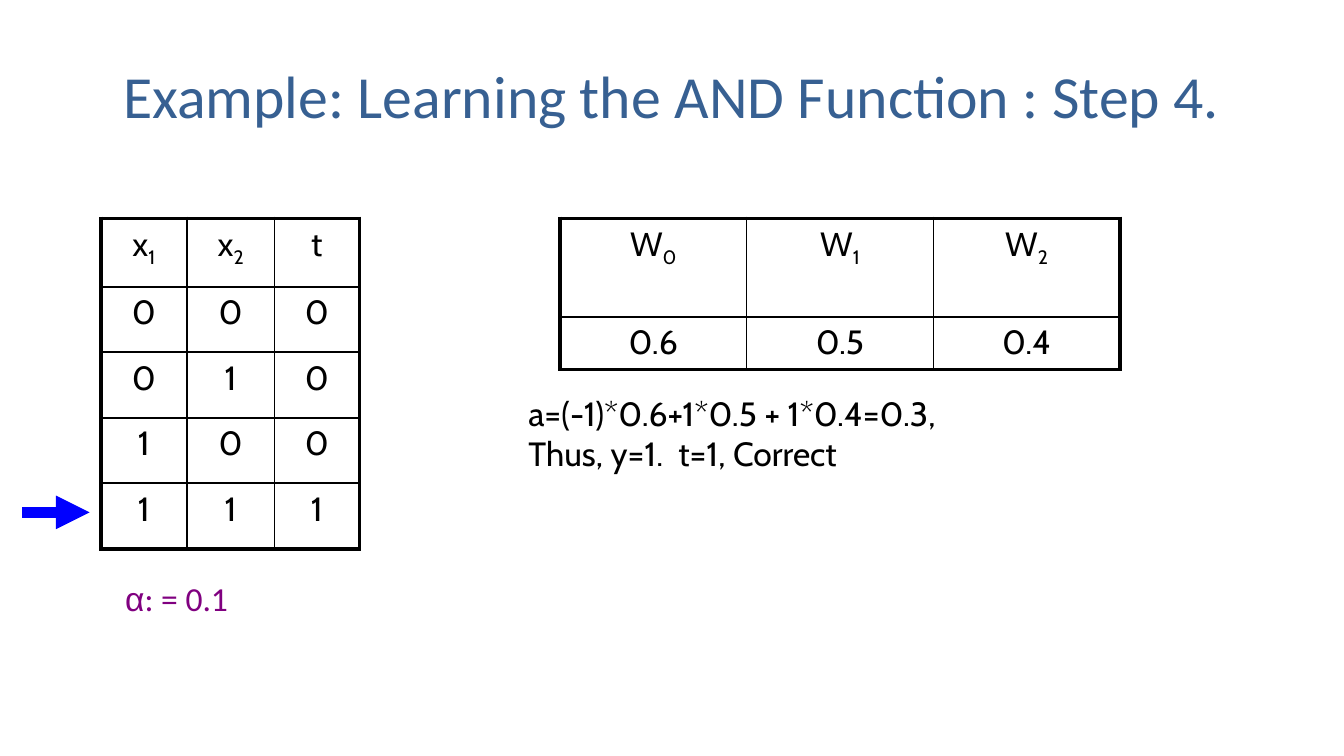
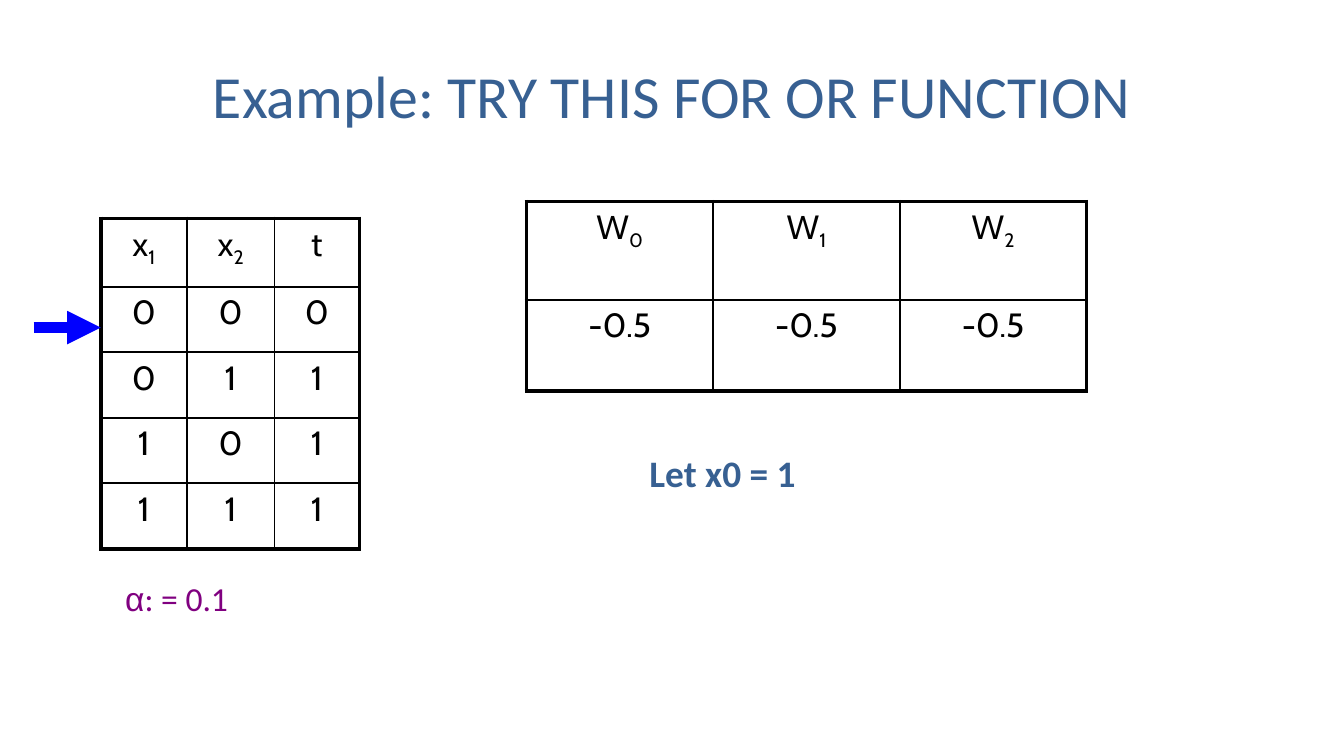
import pptx
import pptx.util
import pptx.dml.color
import pptx.enum.shapes
import pptx.enum.text
import pptx.oxml
import pptx.oxml.ns

BLACK = pptx.dml.color.RGBColor(0x00, 0x00, 0x00)
STEEL = pptx.dml.color.RGBColor(0x37, 0x60, 0x92)
PURPLE = pptx.dml.color.RGBColor(0x80, 0x00, 0x80)
BLUE = pptx.dml.color.RGBColor(0x00, 0x00, 0xFF)

UNIT = pptx.util.Inches(1) / 12
THIN, THICK = 1, 2.25
SUBSCRIPT = "-25000"
NS = pptx.oxml.ns.nsdecls("a")

TRUTH_COLS = [7.7, 7.8, 7.6]
TRUTH_ROWS = [6.1] + [5.85] * 4
WEIGHT_COLS = [16.67] * 3
INPUTS = [("0", "0"), ("0", "1"), ("1", "0"), ("1", "1")]


def grid(*cells):
    """Turn counts of grid units into slide lengths."""
    return [pptx.util.Emu(round(c * UNIT)) for c in cells]


def add_run(p, text, size, font, color, bold=False):
    """Append one formatted run to a paragraph."""
    r = p.add_run()
    r.text = text
    r.font.size = pptx.util.Pt(size)
    r.font.name = font
    r.font.color.rgb = color
    r.font.bold = bold
    return r


def set_title(s, text):
    """Place and format the slide's title placeholder."""
    sp = s.shapes.title
    sp.left, sp.top, sp.width, sp.height = grid(6, 2.8, 108, 11.25)
    tf = sp.text_frame
    tf.vertical_anchor = pptx.enum.text.MSO_ANCHOR.MIDDLE
    p = tf.paragraphs[0]
    p.alignment = pptx.enum.text.PP_ALIGN.CENTER
    add_run(p, text, 32, "Calibri", STEEL)


def add_text(s, box, lines, wrap=False):
    """Add a text box whose lines are lists of run settings."""
    tf = s.shapes.add_textbox(*grid(*box)).text_frame
    tf.word_wrap = wrap
    tf.auto_size = pptx.enum.text.MSO_AUTO_SIZE.SHAPE_TO_FIT_TEXT
    for i, runs in enumerate(lines):
        p = tf.paragraphs[0] if i == 0 else tf.add_paragraph()
        for run in runs:
            add_run(p, *run)


def set_borders(cell, widths):
    """Draw the left, right, top and bottom borders of a cell."""
    tcPr = cell._tc.get_or_add_tcPr()
    for side, width in zip("LRTB", widths):
        tcPr.append(pptx.oxml.parse_xml(
            f'<a:ln{side} {NS} w="{pptx.util.Pt(width)}"><a:solidFill>'
            f'<a:srgbClr val="{BLACK}"/></a:solidFill></a:ln{side}>'))


def fill_cell(cell, text):
    """Write centred cell text, with any part after an underscore lowered."""
    cell.margin_top = cell.margin_bottom = pptx.util.Inches(0.04)
    p = cell.text_frame.paragraphs[0]
    p.alignment = pptx.enum.text.PP_ALIGN.CENTER
    p._p.get_or_add_pPr().append(pptx.oxml.parse_xml(
        f'<a:spcBef {NS}><a:spcPct val="20000"/></a:spcBef>'))
    base, _, index = text.partition("_")
    add_run(p, base, 18, "Cabin", BLACK)
    if index:
        r = add_run(p, index, 18, "Cabin", BLACK)
        r._r.get_or_add_rPr().set("baseline", SUBSCRIPT)


def add_grid_table(s, left, top, cols, rows, data):
    """Add a table with a thick frame and thin inner lines."""
    box = grid(left, top, sum(cols), sum(rows))
    table = s.shapes.add_table(len(rows), len(cols), *box).table
    table.first_row = table.horz_banding = False
    for col, width in zip(table.columns, grid(*cols)):
        col.width = width
    for row, height in zip(table.rows, grid(*rows)):
        row.height = height
    for i, values in enumerate(data):
        for j, text in enumerate(values):
            cell = table.cell(i, j)
            outer = (j == 0, j == len(cols) - 1, i == 0, i == len(rows) - 1)
            set_borders(cell, [THICK if edge else THIN for edge in outer])
            cell.fill.background()
            fill_cell(cell, text)


def add_truth_table(s, targets):
    """Add the input and target table with the learning rate below it."""
    data = [("x_1", "x_2", "t")]
    data += [pair + (t,) for pair, t in zip(INPUTS, targets)]
    add_grid_table(s, 9, 19.5, TRUTH_COLS, TRUTH_ROWS, data)
    add_text(s, (10, 51, 11.9, 4.8),
             [[("α", 18, "Arial", PURPLE), (": = 0.1", 18, "Calibri", PURPLE)]])


def add_weights(s, left, top, rows, weights):
    """Add the table of current weights."""
    add_grid_table(s, left, top, WEIGHT_COLS, rows,
                   [("W_0", "W_1", "W_2"), weights])


def add_pointer(s, left, y):
    """Add the arrow that marks the current row."""
    line = s.shapes.add_connector(pptx.enum.shapes.MSO_CONNECTOR.STRAIGHT,
                                  *grid(left, y, left + 6, y))
    line.line.color.rgb = BLUE
    line.line.width = pptx.util.Pt(6)
    line.line._get_or_add_ln().append(
        pptx.oxml.parse_xml(f'<a:tailEnd {NS} type="triangle"/>'))
    line._element.spPr.append(pptx.oxml.parse_xml(f'<a:effectLst {NS}/>'))


def add_example(prs, title, targets):
    """Start an example slide with its title and truth table."""
    s = prs.slides.add_slide(prs.slide_layouts[5])
    set_title(s, title)
    add_truth_table(s, targets)
    return s


def build_and_step(prs):
    """Build the fourth step of learning AND."""
    s = add_example(prs, "Example: Learning the AND Function : Step 4.", "0001")
    add_weights(s, 50, 19.5, [8.8, 4.7], ("0.6", "0.5", "0.4"))
    lines = ["a=(-1)*0.6+1*0.5 + 1*0.4=0.3,", "Thus, y=1.  t=1, Correct"]
    add_text(s, (46, 34.5, 70.8, 12.1),
             [[(line, 18, "Cabin", BLACK)] for line in lines], wrap=True)
    add_pointer(s, 2, 45.75)


def build_or_exercise(prs):
    """Build the exercise on learning OR."""
    s = add_example(prs, "Example: TRY THIS FOR OR FUNCTION", "0111")
    add_weights(s, 47, 18, [8.8, 8.1], ("-0.5",) * 3)
    add_pointer(s, 3, 29.25)
    add_text(s, (56.8, 39.6, 15.6, 5.25),
             [[("Let x0 = 1", 20, "Calibri", STEEL, True)]])


def main():
    """Build and save both slides."""
    prs = pptx.Presentation()
    prs.slide_width, prs.slide_height = grid(120, 67.5)
    build_and_step(prs)
    build_or_exercise(prs)
    prs.save("out.pptx")


if __name__ == "__main__":
    main()
